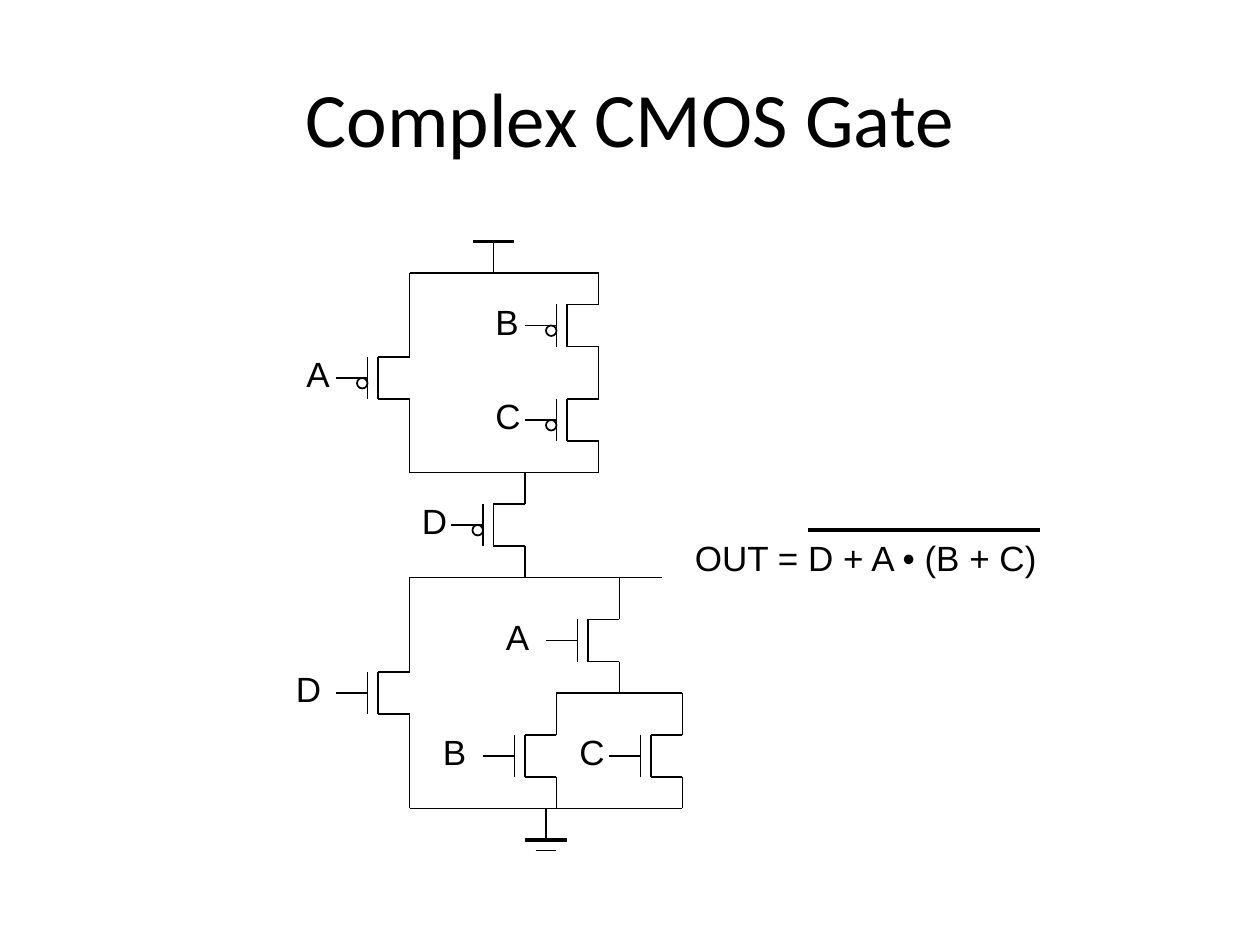
from lxml.etree import SubElement
from pptx import Presentation
from pptx.dml.color import RGBColor
from pptx.enum.shapes import MSO_CONNECTOR, MSO_SHAPE
from pptx.enum.text import MSO_ANCHOR, MSO_AUTO_SIZE, PP_ALIGN
from pptx.oxml.ns import qn
from pptx.util import Cm, Pt

COLORS = {"ink": "000000", "paper": "FFFFFF"}
UNIT = 2.54 / 12

PMOS = [("A", 39, 34, 28), ("B", 57, 29, 46), ("C", 57, 38, 46), ("D", 50, 48, 39)]
NMOS = [("D", 39, 64, 27), ("A", 59, 59, 47), ("B", 53, 70, 41), ("C", 65, 70, 54)]

WIRES = [
    (47, 23, 47, 26), (39, 26, 57, 26), (39, 26, 39, 32),
    (39, 40, 39, 45), (39, 45, 57, 45),
    (39, 55, 63, 55), (39, 55, 39, 64), (59, 55, 59, 59),
    (53, 66, 65, 66), (53, 66, 53, 70), (65, 66, 65, 70),
    (39, 68, 39, 77), (39, 77, 65, 77), (52, 77, 52, 80),
    (51, 81, 53, 81),
]
BARS = [(45, 23, 49, 23), (50, 80, 54, 80), (77, 50.5, 99, 50.5)]


def grid(*units):
    return [Cm(unit * UNIT) for unit in units]


class Board:
    def __init__(self, deck):
        self.slide = deck.slides.add_slide(deck.slide_layouts[5])
        self.shapes = self.slide.shapes
        fill = self.slide.background.fill
        fill.solid()
        fill.fore_color.rgb = self.color("paper")

    def color(self, name):
        return RGBColor.from_string(COLORS[name])

    def add_text(self, para, text, size, face):
        run = para.add_run()
        run.text = text
        run.font.size = Pt(size)
        run.font.name = face
        run.font.color.rgb = self.color("ink")

    def title(self, text):
        box = self.shapes.title
        box.left, box.top, box.width, box.height = grid(6, 3.6, 108, 15)
        frame = box.text_frame
        frame.vertical_anchor = MSO_ANCHOR.MIDDLE
        para = frame.paragraphs[0]
        para.alignment = PP_ALIGN.CENTER
        self.add_text(para, text, 44, "Calibri")

    def label(self, text, x, y, width=4.75):
        frame = self.shapes.add_textbox(*grid(x, y, width, 5.2)).text_frame
        frame.word_wrap = False
        frame.auto_size = MSO_AUTO_SIZE.SHAPE_TO_FIT_TEXT
        self.add_text(frame.paragraphs[0], text, 20, "Arial")

    def wire(self, x1, y1, x2, y2, weight=1):
        line = self.shapes.add_connector(
            MSO_CONNECTOR.STRAIGHT, *grid(x1, y1, x2, y2))
        line.line.width = Pt(weight)
        line.line.color.rgb = self.color("ink")
        SubElement(line._element.spPr, qn("a:effectLst"))

    def bubble(self, x, y):
        dot = self.shapes.add_shape(MSO_SHAPE.OVAL, *grid(x, y, 1, 1))
        dot.shadow.inherit = False
        dot.fill.background()
        dot.line.width = Pt(1)
        dot.line.color.rgb = self.color("ink")

    def nmos(self, name, x, y, left):
        self.wire(x - 3, y, x, y)
        self.wire(x - 3, y, x - 3, y + 4)
        self.wire(x - 3, y + 4, x, y + 4)
        self.wire(x - 4, y, x - 4, y + 4)
        self.wire(x, y + 4, x, y + 7)
        self.wire(x - 7, y + 2, x - 4, y + 2)
        self.label(name, left, y - 1)

    def pmos(self, name, x, y, left):
        self.nmos(name, x, y, left)
        self.wire(x, y - 3, x, y)
        self.bubble(x - 5, y + 2)


def main():
    deck = Presentation()
    deck.slide_width, deck.slide_height = Cm(25.4), Cm(19.05)
    board = Board(deck)
    board.title("Complex CMOS Gate")
    board.label("OUT = D + A • (B + C)", 65, 50.5, 35.3)
    for gate in NMOS:
        board.nmos(*gate)
    for gate in PMOS:
        board.pmos(*gate)
    for ends in WIRES:
        board.wire(*ends)
    for ends in BARS:
        board.wire(*ends, weight=2.25)
    deck.save("out.pptx")


if __name__ == "__main__":
    main()
